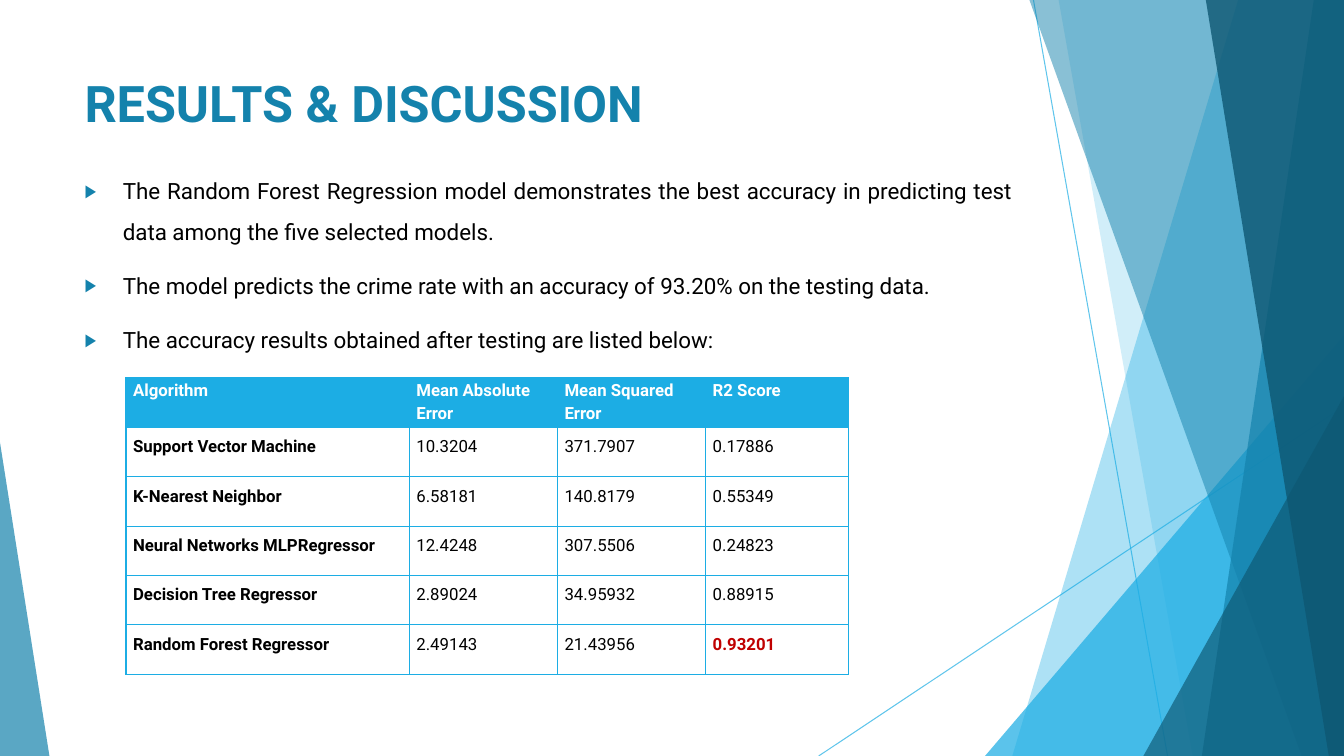
from lxml import etree
from pptx import Presentation
from pptx.dml.color import RGBColor
from pptx.enum.shapes import MSO_CONNECTOR, MSO_SHAPE
from pptx.enum.text import MSO_ANCHOR, PP_ALIGN
from pptx.oxml.ns import qn
from pptx.util import Inches, Pt

STRAIGHT = MSO_CONNECTOR.STRAIGHT
TRIANGLE = MSO_SHAPE.ISOSCELES_TRIANGLE
TOP = MSO_ANCHOR.TOP
JUSTIFY = PP_ALIGN.JUSTIFY

SKY = RGBColor(0x1C, 0xAD, 0xE4)
BLUE = RGBColor(0x14, 0x82, 0xAC)
NAVY = RGBColor(0x0E, 0x57, 0x72)
RED = RGBColor(0xC0, 0x00, 0x00)
BLACK = RGBColor(0, 0, 0)
WHITE = RGBColor(0xFF, 0xFF, 0xFF)

FONT = "Roboto"
WIDTH, HEIGHT = 13.33, 7.5
MARGIN, TEXT_WIDTH = 0.74, 9.4
TITLE_TOP, BODY_TOP, BODY_BOTTOM = 0.67, 1.58, 6.91
HANG = 0.38
COLUMN_WIDTHS = (2.81, 1.47, 1.47, 1.42)
ROW_HEIGHT = 0.49

LINES = [((10.25, 0), (11.58, HEIGHT)), ((WIDTH, 4.03), (8.12, HEIGHT))]
RIGHT_FACETS_BACK = [(12.28, 10.04, SKY, 36), (10.5, 11.83, SKY, 20)]
RIGHT_FACETS_FRONT = [(10.21, 12.91, BLUE, 50), (13.03, 11.92, BLUE, 70), (11.96, 13.18, NAVY, 80)]

BULLETS = [
    "The Random Forest Regression model demonstrates the best accuracy in predicting "
    "test data among the five selected models.",
    "The model predicts the crime rate with an accuracy of 93.20% on the testing data.",
    "The accuracy results obtained after testing are listed below:",
]
RESULTS = [
    ("Algorithm", "Mean Absolute Error", "Mean Squared Error", "R2 Score"),
    ("Support Vector Machine", "10.3204", "371.7907", "0.17886"),
    ("K-Nearest Neighbor", "6.58181", "140.8179", "0.55349"),
    ("Neural Networks MLPRegressor", "12.4248", "307.5506", "0.24823"),
    ("Decision Tree Regressor", "2.89024", "34.95932", "0.88915"),
    ("Random Forest Regressor", "2.49143", "21.43956", "0.93201"),
]


def add_child(parent, tag, **attributes):
    return etree.SubElement(parent, qn(tag), attributes)


def set_opacity(element, percent):
    color = next(element.iter(qn("a:srgbClr")))
    add_child(color, "a:alpha", val=str(percent * 1000))


def paint(shape, color, opacity):
    shape.shadow.inherit = False
    shape.line.fill.background()
    shape.fill.solid()
    shape.fill.fore_color.rgb = color
    set_opacity(shape.fill._xPr, opacity)


def add_line(page, start, end):
    line = page.shapes.add_connector(STRAIGHT, *map(Inches, start + end))
    line.line.width = Pt(0.75)
    line.line.color.rgb = SKY
    properties = line._element.spPr
    set_opacity(properties, 70)
    add_child(properties, "a:effectLst")


def add_right_facet(page, top_x, bottom_x, color, opacity):
    builder = page.shapes.build_freeform(Inches(top_x), 0)
    corners = [(WIDTH, 0), (WIDTH, HEIGHT), (bottom_x, HEIGHT)]
    builder.add_line_segments([(Inches(x), Inches(y)) for x, y in corners], close=True)
    paint(builder.convert_to_shape(), color, opacity)


def add_triangle(page, left, right, top, apex, color, opacity):
    triangle = page.shapes.add_shape(
        TRIANGLE, Inches(left), Inches(top), Inches(right - left), Inches(HEIGHT - top))
    triangle.adjustments[0] = apex
    paint(triangle, color, opacity)


def add_span(para, text, size, color, bold=False):
    span = para.add_run()
    span.text = text
    span.font.name = FONT
    span.font.size = Pt(size)
    span.font.bold = bold
    span.font.color.rgb = color


def add_box(page, top, bottom):
    box = page.shapes.add_textbox(
        Inches(MARGIN), Inches(top), Inches(TEXT_WIDTH), Inches(bottom - top))
    box.text_frame.word_wrap = True
    box.text_frame.vertical_anchor = TOP
    return box.text_frame


def add_bullet(para):
    properties = para._p.get_or_add_pPr()
    properties.set("marL", str(Inches(HANG)))
    properties.set("indent", str(-Inches(HANG)))
    color = add_child(properties, "a:buClr")
    add_child(color, "a:srgbClr", val=str(BLUE))
    add_child(properties, "a:buSzPct", val="80000")
    add_child(properties, "a:buFont", typeface="Arial")
    add_child(properties, "a:buChar", char="▶")


def add_bullets(page):
    frame = add_box(page, BODY_TOP, BODY_BOTTOM)
    for index, text in enumerate(BULLETS):
        para = frame.add_paragraph() if index else frame.paragraphs[0]
        para.alignment = JUSTIFY
        para.line_spacing = 1.5
        para.space_before = Pt(10)
        add_bullet(para)
        add_span(para, text, 16, BLACK)


def add_borders(cell):
    properties = cell._tc.get_or_add_tcPr()
    for side in "LRTB":
        border = add_child(properties, "a:ln" + side, w=str(Pt(1)))
        fill = add_child(border, "a:solidFill")
        add_child(fill, "a:srgbClr", val=str(SKY))


def fill_cell(cell, text, is_header, bold, color):
    cell.margin_left = cell.margin_right = Inches(0.07)
    cell.margin_top = cell.margin_bottom = 0
    cell.vertical_anchor = TOP
    add_borders(cell)
    if is_header:
        cell.fill.solid()
        cell.fill.fore_color.rgb = SKY
    else:
        cell.fill.background()
    para = cell.text_frame.paragraphs[0]
    para.line_spacing = 1.15 if is_header else 1.5
    add_span(para, text, 12, color, bold)


def add_results_table(page):
    frame = page.shapes.add_table(
        len(RESULTS), len(COLUMN_WIDTHS), Inches(1.25), Inches(3.75),
        Inches(sum(COLUMN_WIDTHS)), Inches(ROW_HEIGHT * len(RESULTS)))
    table = frame.table
    for column, width in zip(table.columns, COLUMN_WIDTHS):
        column.width = Inches(width)
    best_score = max(row[-1] for row in RESULTS[1:])
    for row_index, row in enumerate(RESULTS):
        table.rows[row_index].height = Inches(ROW_HEIGHT)
        for column_index, text in enumerate(row):
            is_header = row_index == 0
            is_best = text == best_score
            color = WHITE if is_header else RED if is_best else BLACK
            bold = is_header or is_best or column_index == 0
            fill_cell(table.cell(row_index, column_index), text, is_header, bold, color)


def add_backdrop(page):
    for start, end in LINES:
        add_line(page, start, end)
    for facet in RIGHT_FACETS_BACK:
        add_right_facet(page, *facet)
    add_triangle(page, 9.77, WIDTH, 3.33, 1, SKY, 72)
    for facet in RIGHT_FACETS_FRONT:
        add_right_facet(page, *facet)
    add_triangle(page, 11.34, WIDTH, 3.93, 1, NAVY, 66)
    add_triangle(page, 0, 0.49, 4.39, 0, BLUE, 70)


def main():
    deck = Presentation()
    deck.slide_width, deck.slide_height = Inches(WIDTH), Inches(HEIGHT)
    page = deck.slides.add_slide(deck.slide_layouts[6])
    add_backdrop(page)
    title = add_box(page, TITLE_TOP, BODY_TOP)
    add_span(title.paragraphs[0], "RESULTS & DISCUSSION", 36, BLUE, bold=True)
    add_bullets(page)
    add_results_table(page)
    deck.save("out.pptx")


main()
